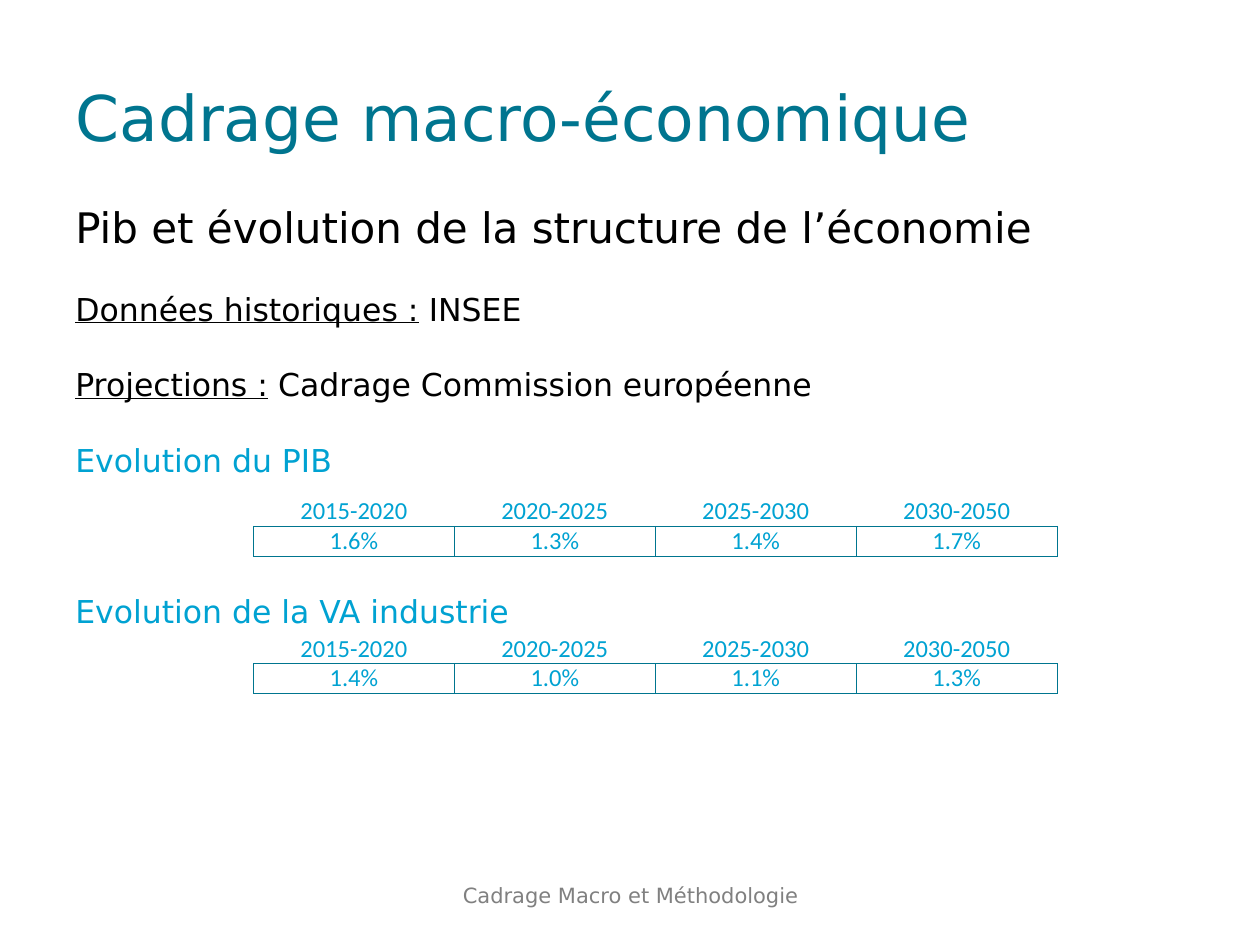
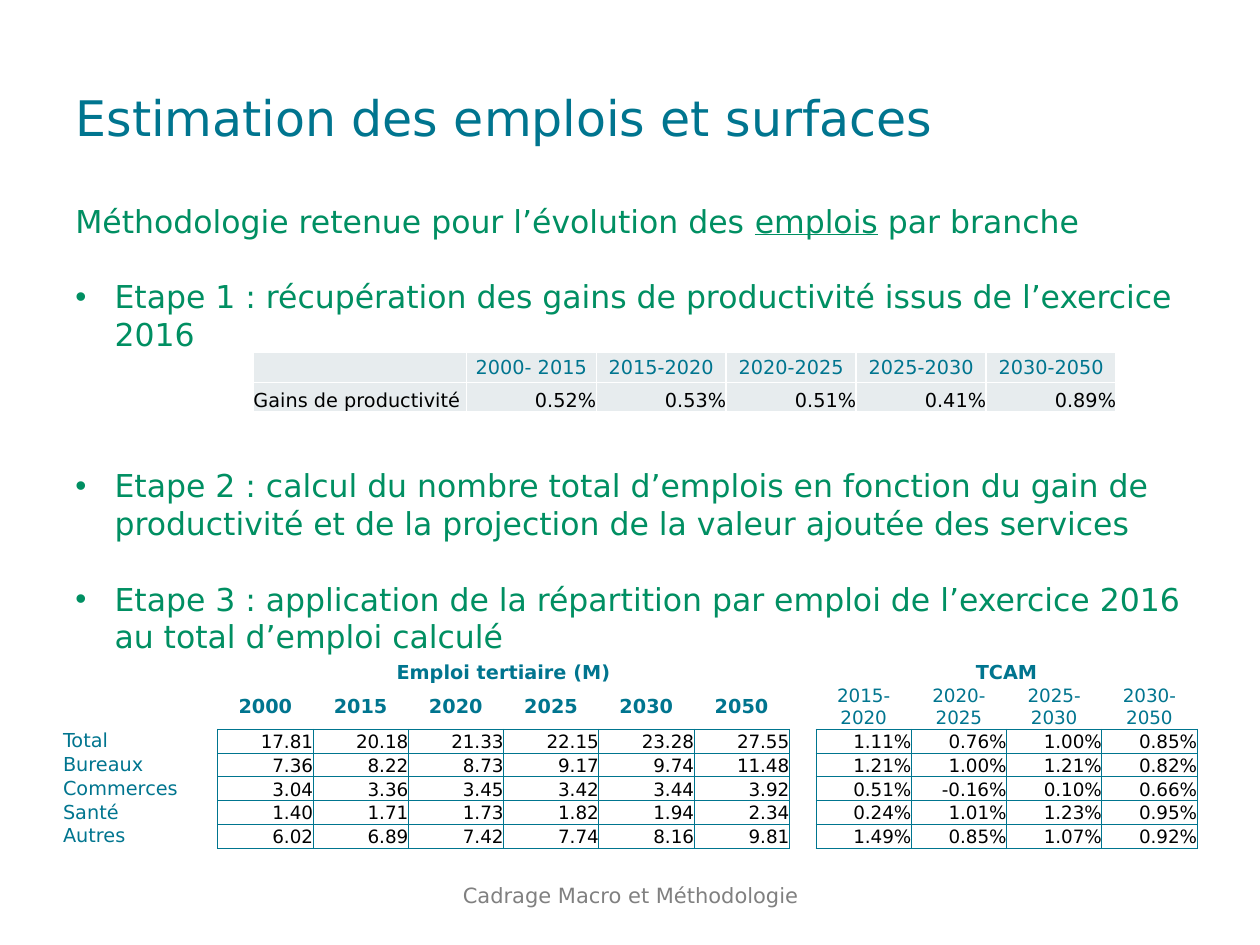
from dataclasses import dataclass, replace

from lxml import etree
from pptx import Presentation
from pptx.dml.color import RGBColor
from pptx.enum.text import MSO_ANCHOR, MSO_AUTO_SIZE, PP_ALIGN
from pptx.oxml.ns import qn
from pptx.util import Cm, Pt

LEFT, CENTER, RIGHT = PP_ALIGN.LEFT, PP_ALIGN.CENTER, PP_ALIGN.RIGHT
MIDDLE, BOTTOM = MSO_ANCHOR.MIDDLE, MSO_ANCHOR.BOTTOM
NO_FIT, GROW = MSO_AUTO_SIZE.NONE, MSO_AUTO_SIZE.SHAPE_TO_FIT_TEXT

COLORS = {
    "teal": "00758F",
    "sky": "00A2D2",
    "green": "008F62",
    "black": "000000",
    "grey": "808080",
    "pale": "E7ECEE",
    "white": "FFFFFF",
}
FONT = "DejaVu Sans"
TABLE_FONT = "Calibri"
TITLE_ONLY = 5
LINE_FACTOR = 1.2
PLAIN_TABLE_STYLE = "{2D5ABB26-0587-4C30-8999-92F81FD0307C}"
FOOTER = "Cadrage Macro et Méthodologie"
PERIODS = ["2015-2020", "2020-2025", "2025-2030", "2030-2050"]
ALL_EDGES = "LRTB"


@dataclass(frozen=True)
class Span:
    text: str
    underline: bool = False


@dataclass(frozen=True)
class Para:
    spans: list[Span]
    color: str
    size: float = 18
    lines_before: int = 1
    bullet: bool = False


@dataclass(frozen=True)
class Cell:
    text: str = ""
    color: str = "teal"
    size: float = 11
    font: str = FONT
    bold: bool = False
    align: int = CENTER
    anchor: int = MIDDLE
    fill: str | None = "white"
    edges: str = ""
    columns: int = 1


@dataclass(frozen=True)
class Grid:
    left: float
    top: float
    widths: list[float]
    heights: list[float]
    rows: list[list[Cell]]
    edge_color: str = "teal"
    edge_width: float = 0.5


def rgb(name: str) -> RGBColor:
    return RGBColor.from_string(COLORS[name])


def add_span(para, text: str, size: float, color: str, font: str = FONT):
    span = para.add_run()
    span.text = text
    span.font.name = font
    span.font.size = Pt(size)
    span.font.color.rgb = rgb(color)
    return span


def add_slide(deck, title: str, size: float, width: float):
    slide = deck.slides.add_slide(deck.slide_layouts[TITLE_ONLY])
    box = slide.shapes.title
    box.left, box.top, box.width, box.height = Cm(1.27), Cm(0.76), Cm(width), Cm(3.18)
    box.text_frame.auto_size = NO_FIT
    box.text_frame.vertical_anchor = MIDDLE
    para = box.text_frame.paragraphs[0]
    para.alignment = LEFT
    add_span(para, title, size, "teal")
    add_footer(slide)
    return slide


def add_footer(slide) -> None:
    box = slide.shapes.add_textbox(Cm(8.69), Cm(17.53), Cm(8.05), Cm(1.02))
    box.text_frame.word_wrap = True
    box.text_frame.vertical_anchor = MIDDLE
    para = box.text_frame.paragraphs[0]
    para.alignment = CENTER
    add_span(para, FOOTER, 12, "grey")


def add_bullet(para) -> None:
    properties = para._p.get_or_add_pPr()
    properties.set("marL", str(Cm(0.79)))
    properties.set("indent", str(-Cm(0.79)))
    etree.SubElement(properties, qn("a:buFont"), typeface="Arial")
    etree.SubElement(properties, qn("a:buChar"), char="•")


def add_body(slide, height: float, paras: list[Para]) -> None:
    box = slide.shapes.add_textbox(Cm(1.27), Cm(3.94), Cm(22.86), Cm(height))
    frame = box.text_frame
    frame.word_wrap = True
    frame.auto_size = GROW
    for index, item in enumerate(paras):
        para = frame.add_paragraph() if index else frame.paragraphs[0]
        line = item.size * LINE_FACTOR
        para.line_spacing = Pt(line)
        para.space_before = Pt(line * item.lines_before)
        if item.bullet:
            add_bullet(para)
        for part in item.spans:
            span = add_span(para, part.text, item.size, item.color)
            span.font.underline = part.underline


def draw_edges(cell, edges: str, color: str, width: float) -> None:
    properties = cell._tc.get_or_add_tcPr()
    for index, edge in enumerate(edges):
        line = etree.Element(qn(f"a:ln{edge}"), w=str(Pt(width)))
        fill = etree.SubElement(line, qn("a:solidFill"))
        etree.SubElement(fill, qn("a:srgbClr"), val=COLORS[color])
        properties.insert(index, line)


def fill_cell(cell, item: Cell) -> None:
    cell.margin_left = cell.margin_right = cell.margin_top = cell.margin_bottom = 0
    cell.vertical_anchor = item.anchor
    if item.fill:
        cell.fill.solid()
        cell.fill.fore_color.rgb = rgb(item.fill)
    else:
        cell.fill.background()
    para = cell.text_frame.paragraphs[0]
    para.alignment = item.align
    if item.text:
        add_span(para, item.text, item.size, item.color, item.font).font.bold = item.bold
    else:
        etree.SubElement(para._p, qn("a:endParaRPr"), sz=str(int(item.size * 100)))


def add_grid(slide, grid: Grid) -> None:
    frame = slide.shapes.add_table(
        len(grid.heights), len(grid.widths), Cm(grid.left), Cm(grid.top),
        Cm(sum(grid.widths)), Cm(sum(grid.heights)))
    table = frame.table
    table.first_row = table.horz_banding = False
    table._tbl.tblPr.find(qn("a:tableStyleId")).text = PLAIN_TABLE_STYLE
    for column, width in zip(table.columns, grid.widths):
        column.width = Cm(width)
    for row, height in zip(table.rows, grid.heights):
        row.height = Cm(height)
    for r, items in enumerate(grid.rows):
        for c, item in enumerate(items):
            cell = table.cell(r, c)
            fill_cell(cell, item)
            draw_edges(cell, item.edges, grid.edge_color, grid.edge_width)
            if item.columns > 1:
                cell.merge(table.cell(r, c + item.columns - 1))


def growth_grid(top: float, rates: list[str]) -> Grid:
    header = Cell(color="sky", size=14, font=TABLE_FONT, edges="B")
    value = replace(header, anchor=BOTTOM, fill=None, edges=ALL_EDGES)
    return Grid(5.11, top, [4.05] * 4, [0.6] * 2, [
        [replace(header, text=period) for period in PERIODS],
        [replace(value, text=rate) for rate in rates],
    ])


def productivity_grid() -> Grid:
    header = Cell(fill="pale", edges=ALL_EDGES)
    label = replace(header, text="Gains de productivité", color="black", align=LEFT, anchor=BOTTOM)
    gains = ["0.52%", "0.53%", "0.51%", "0.41%", "0.89%"]
    return Grid(5.11, 7.11, [4.29] + [2.62] * 5, [0.6] * 2, [
        [header] + [replace(header, text=period) for period in ["2000- 2015"] + PERIODS],
        [label] + [replace(label, text=gain, align=RIGHT) for gain in gains],
    ], "white", 1)


def jobs_grid() -> Grid:
    years = ["2000", "2015", "2020", "2025", "2030", "2050"]
    branches = {
        "Total": ("17.81 20.18 21.33 22.15 23.28 27.55", "1.11% 0.76% 1.00% 0.85%"),
        "Bureaux": ("7.36 8.22 8.73 9.17 9.74 11.48", "1.21% 1.00% 1.21% 0.82%"),
        "Commerces": ("3.04 3.36 3.45 3.42 3.44 3.92", "0.51% -0.16% 0.10% 0.66%"),
        "Santé": ("1.40 1.71 1.73 1.82 1.94 2.34", "0.24% 1.01% 1.23% 0.95%"),
        "Autres": ("6.02 6.89 7.42 7.74 8.16 9.81", "1.49% 0.85% 1.07% 0.92%"),
    }
    blank = Cell(size=10.5)
    heading = Cell(bold=True)
    year_cell = replace(heading, edges="B")
    period_cell = Cell(size=10.5, edges="B")
    label = Cell(align=LEFT, edges="R")
    gap = replace(blank, edges="LR")
    value = Cell(color="black", size=10.5, align=RIGHT, anchor=BOTTOM, fill=None, edges=ALL_EDGES)
    rows = [
        [blank, replace(heading, text="Emploi tertiaire (M)", columns=6)] + [blank] * 6
        + [replace(heading, text="TCAM", columns=4)] + [blank] * 3,
        [blank] + [replace(year_cell, text=year) for year in years]
        + [blank] + [replace(period_cell, text=period) for period in PERIODS],
    ]
    for branch, (jobs, rates) in branches.items():
        rows.append(
            [replace(label, text=branch)] + [replace(value, text=job) for job in jobs.split()]
            + [gap] + [replace(value, text=rate) for rate in rates.split()])
    widths = [3.12] + [1.92] * 6 + [0.54] + [1.92] * 4
    return Grid(1.27, 13.33, widths, [0.48, 0.87] + [0.48] * 5, rows)


def build_macro_slide(deck) -> None:
    slide = add_slide(deck, "Cadrage macro-économique", 36, 22.86)
    add_body(slide, 11.2, [
        Para([Span("Pib et évolution de la structure de l’économie")], "black", 24, 0),
        Para([Span("Données historiques :", True), Span(" INSEE")], "black"),
        Para([Span("Projections :", True), Span(" Cadrage Commission européenne")], "black"),
        Para([Span("Evolution du PIB")], "sky"),
        Para([Span("Evolution de la VA industrie")], "sky", lines_before=3),
    ])
    add_grid(slide, growth_grid(10.01, ["1.6%", "1.3%", "1.4%", "1.7%"]))
    add_grid(slide, growth_grid(12.78, ["1.4%", "1.0%", "1.1%", "1.3%"]))


def build_jobs_slide(deck) -> None:
    slide = add_slide(deck, "Estimation des emplois et surfaces", 28, 23.42)
    add_body(slide, 9.5, [
        Para([Span("Méthodologie retenue pour l’évolution des "), Span("emplois", True),
              Span(" par branche")], "green", lines_before=0),
        Para([Span("Etape 1 : récupération des gains de productivité issus de l’exercice 2016")],
             "green", bullet=True),
        Para([Span("Etape 2 : calcul du nombre total d’emplois en fonction du gain de "
                   "productivité et de la projection de la valeur ajoutée des services")],
             "green", lines_before=3, bullet=True),
        Para([Span("Etape 3 : application de la répartition par emploi de l’exercice 2016 "
                   "au total d’emploi calculé")], "green", bullet=True),
    ])
    add_grid(slide, jobs_grid())
    add_grid(slide, productivity_grid())


def main() -> None:
    deck = Presentation()
    deck.slide_width, deck.slide_height = Cm(25.4), Cm(19.05)
    build_macro_slide(deck)
    build_jobs_slide(deck)
    deck.save("out.pptx")


if __name__ == "__main__":
    main()
